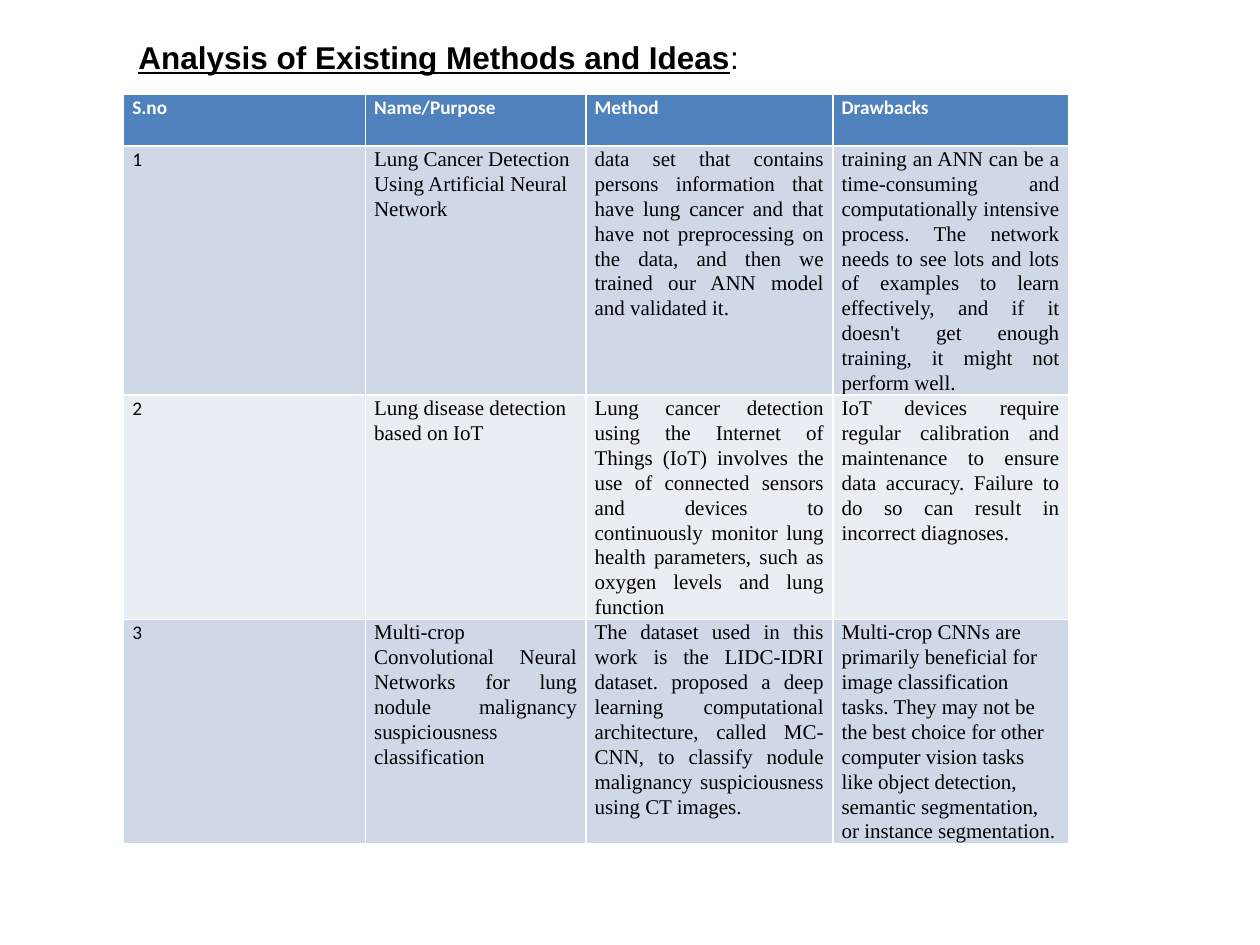
from pptx import Presentation
from pptx.dml.color import RGBColor
from pptx.enum.text import MSO_AUTO_SIZE, PP_ALIGN
from pptx.util import Inches, Pt


def style(font, name, size, color, bold=False):
    font.name, font.size, font.bold = name, Pt(size), bold
    font.color.rgb = RGBColor.from_string(color)


deck = Presentation()
deck.slide_width, deck.slide_height = Inches(10), Inches(7.5)
slide = deck.slides.add_slide(deck.slide_layouts[6])

# Table text: header, then one row per method
rows = [
    ["S.no", "Name/Purpose", "Method", "Drawbacks"],
    ["1", "Lung Cancer Detection Using Artificial Neural Network",
     "data set that contains persons information that have lung cancer and "
     "that have not preprocessing on the data, and then we trained our ANN "
     "model and validated it.",
     "training an ANN can be a time-consuming and computationally intensive "
     "process. The network needs to see lots and lots of examples to learn "
     "effectively, and if it doesn't get enough training, it might not "
     "perform well."],
    ["2", "Lung disease detection based on IoT",
     "Lung cancer detection using the Internet of Things (IoT) involves the "
     "use of connected sensors and devices to continuously monitor lung "
     "health parameters, such as oxygen levels and lung function",
     "IoT devices require regular calibration and maintenance to ensure data "
     "accuracy. Failure to do so can result in incorrect diagnoses."],
    ["3", "Multi-crop Convolutional Neural Networks for lung nodule "
     "malignancy suspiciousness classification",
     "The dataset used in this work is the LIDC-IDRI dataset. proposed a "
     "deep learning computational architecture, called MC-CNN, to classify "
     "nodule malignancy suspiciousness using CT images.",
     "Multi-crop CNNs are primarily beneficial for image classification "
     "tasks. They may not be the best choice for other computer vision tasks "
     "like object detection, semantic segmentation, or instance "
     "segmentation."],
]
widths = [1.92, 1.75, 1.96, 1.87]
heights = [0.41, 1.97, 1.78, 1.78]
fills = ["4F81BD", "D0D8E8", "E9EDF4", "D0D8E8"]
justified = {(1, 2), (1, 3), (2, 2), (2, 3), (3, 1), (3, 2)}

# Table: the default style draws the white borders
table = slide.shapes.add_table(
    len(rows), len(widths), Inches(0.98), Inches(0.75),
    Inches(sum(widths)), Inches(sum(heights))).table
for col, width in zip(table.columns, widths):
    col.width = Inches(width)
for r, row in enumerate(rows):
    table.rows[r].height = Inches(heights[r])
    for c, text in enumerate(row):
        cell = table.cell(r, c)
        cell.fill.solid()
        cell.fill.fore_color.rgb = RGBColor.from_string(fills[r])
        cell.margin_left = cell.margin_right = Inches(0.07)
        cell.margin_top = cell.margin_bottom = 0
        cell.text = text
        para = cell.text_frame.paragraphs[0]
        para.line_spacing = 1.07
        para.space_after = Pt(0 if r and c == 2 else 8)
        if (r, c) in justified:
            para.alignment = PP_ALIGN.JUSTIFY
        if r == 0:
            style(para.font, "Calibri", 11, "FFFFFF", True)
        elif c == 0:
            style(para.font, "Calibri", 11, "000000")
        else:
            style(para.font, "Times New Roman", 12, "000000")

# Title: only the colon is plain
box = slide.shapes.add_textbox(Inches(1), Inches(0.25), Inches(5.25), Inches(0.4))
frame = box.text_frame
frame.word_wrap = True
frame.auto_size = MSO_AUTO_SIZE.SHAPE_TO_FIT_TEXT
for text, strong in [("Analysis of Existing Methods and Ideas", True), (":", False)]:
    run = frame.paragraphs[0].add_run()
    run.text = text
    style(run.font, "Arial", 18, "000000", strong)
    run.font.underline = strong

deck.save("out.pptx")
